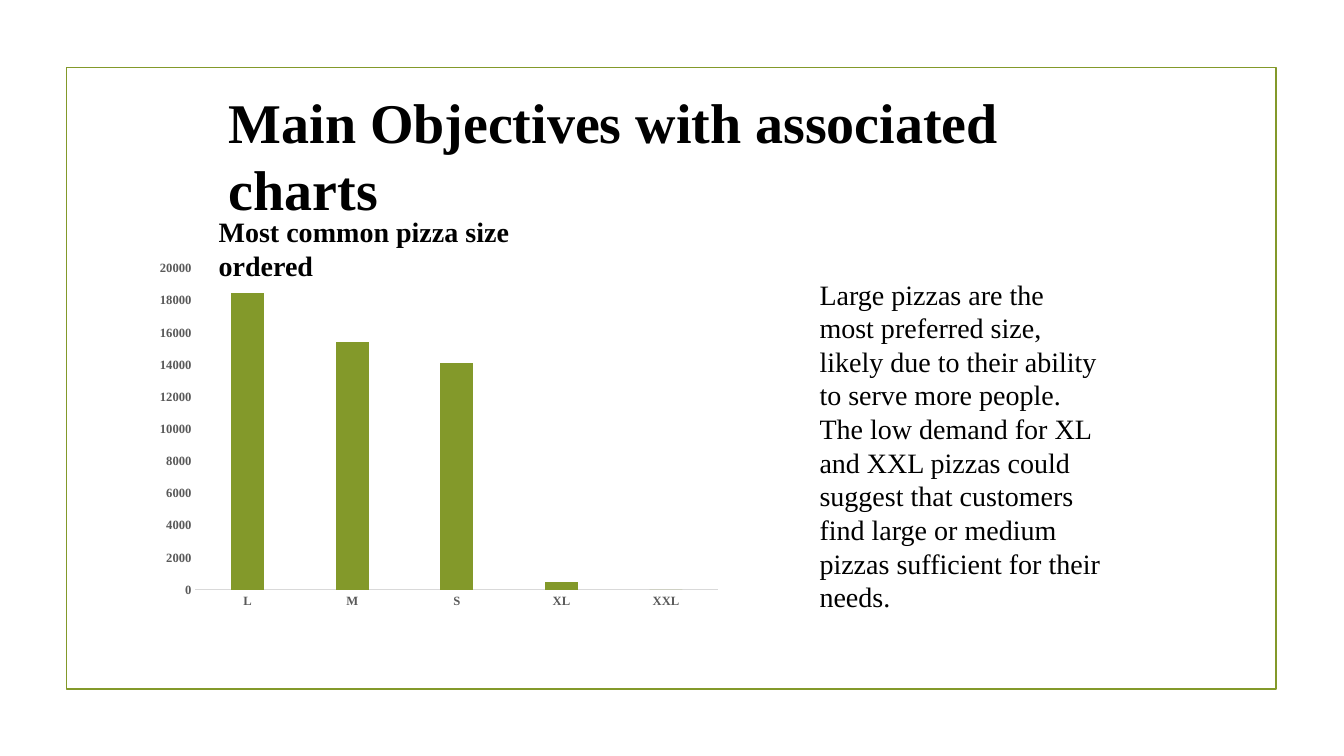
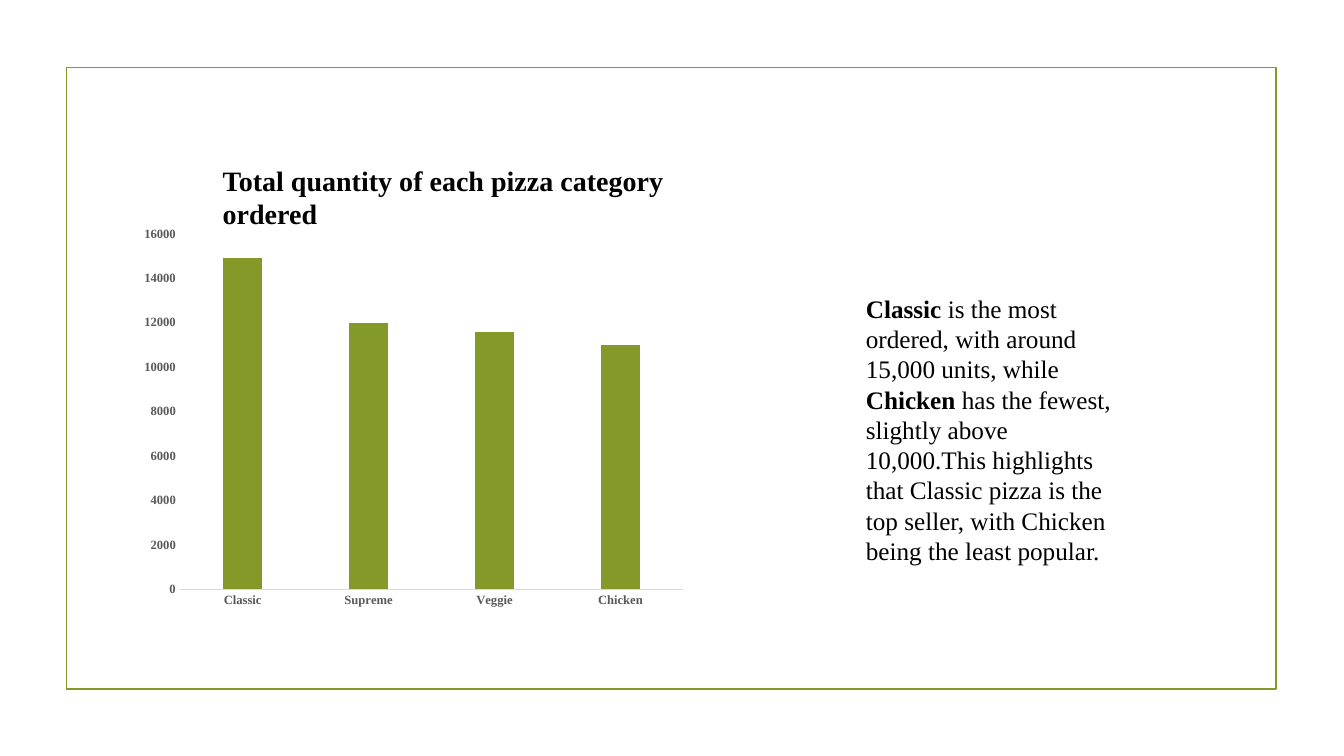
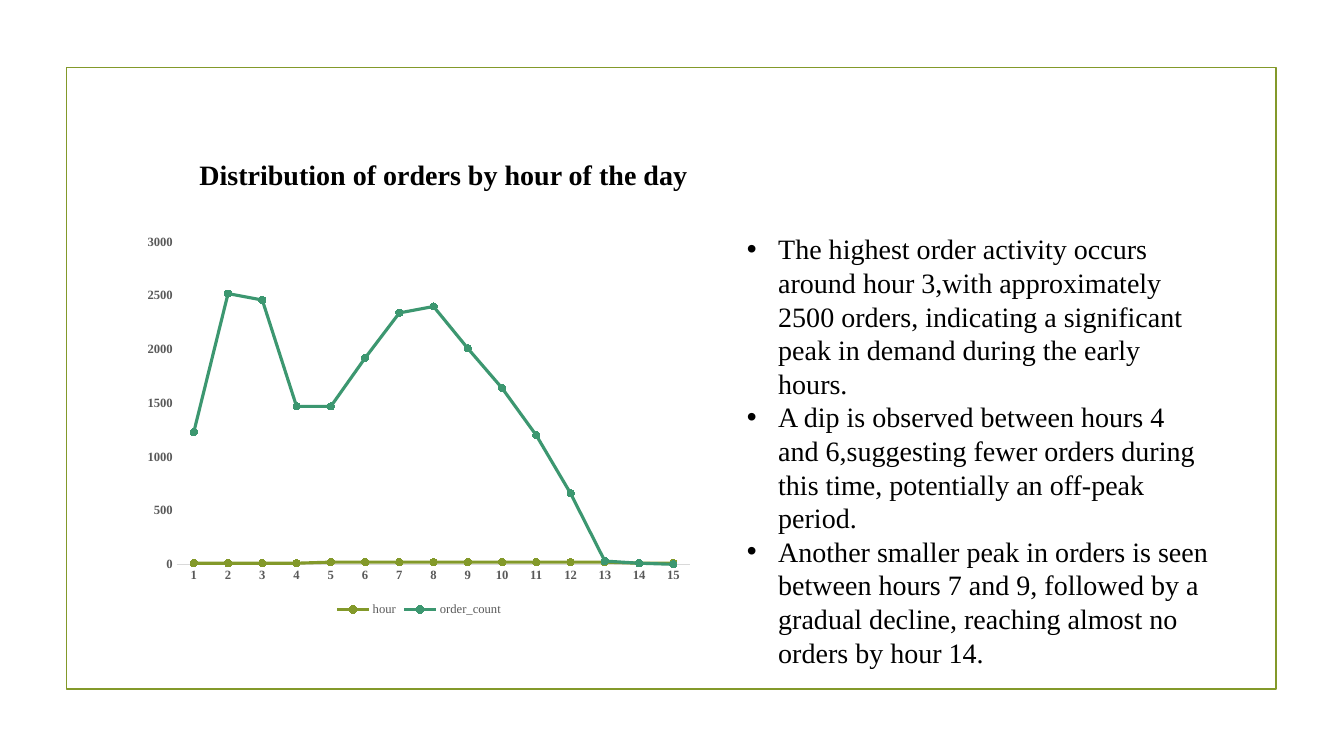
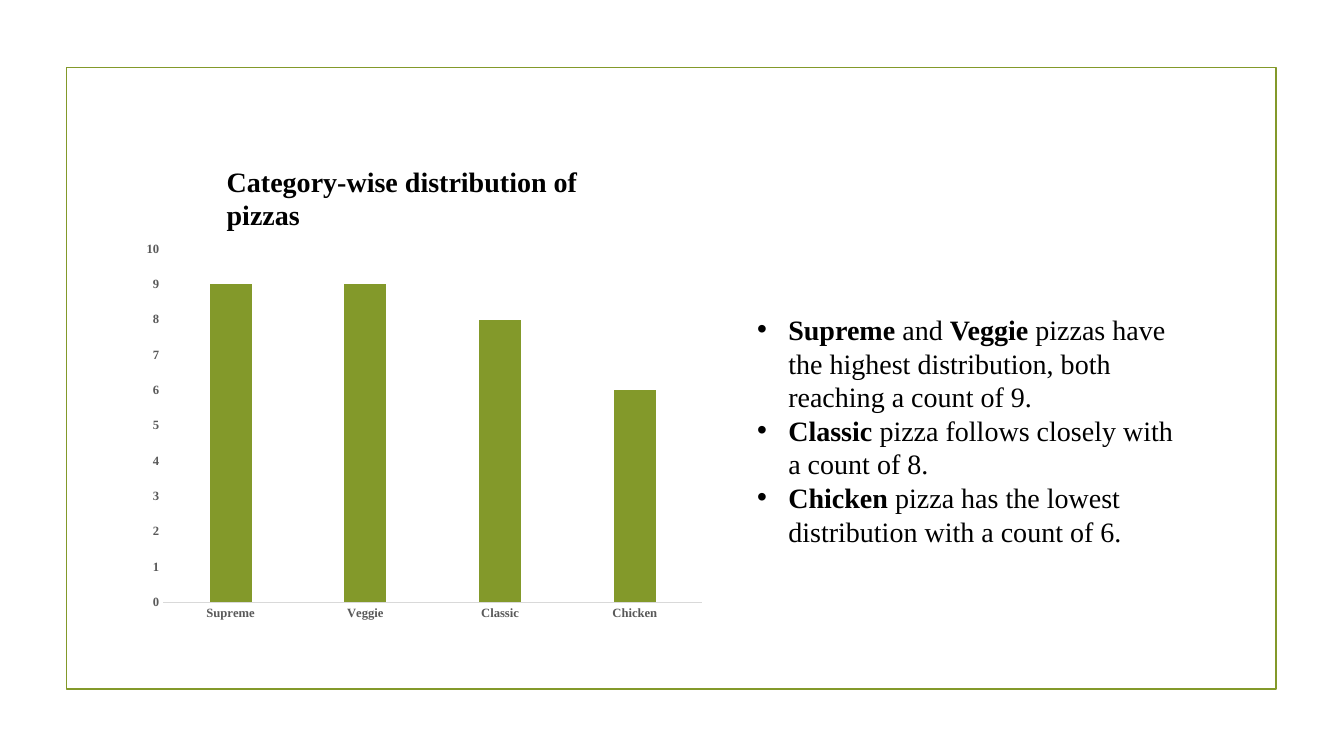
from dataclasses import dataclass

from lxml.etree import SubElement
from pptx import Presentation
from pptx.chart.data import CategoryChartData
from pptx.dml.color import RGBColor
from pptx.enum.chart import XL_CHART_TYPE, XL_LEGEND_POSITION, XL_MARKER_STYLE, XL_TICK_MARK
from pptx.enum.shapes import MSO_SHAPE
from pptx.oxml.ns import qn
from pptx.util import Inches, Pt

COLORS = {
    "background": "FFFFFF",
    "text": "000000",
    "axis_text": "595959",
    "axis_line": "D9D9D9",
    "green": "83992A",
    "teal": "3C9770",
}
SERIES_COLORS = ("green", "teal")
FONT = "Times New Roman"
SLIDE_WIDTH, SLIDE_HEIGHT = Inches(13.33), Inches(7.5)
BULLET_INDENT = Inches(0.31)


@dataclass
class Box:
    left: float
    top: float
    width: float
    height: float

    def place(self):
        column, row = SLIDE_WIDTH / 100, SLIDE_HEIGHT / 100
        return (
            int(self.left * column),
            int(self.top * row),
            int(self.width * column),
            int(self.height * row),
        )


@dataclass
class ChartSlide:
    heading: str
    heading_box: Box
    body: tuple
    body_box: Box
    chart_box: Box
    categories: tuple
    series: dict
    maximum: int
    step: int
    body_size: int = 20
    bulleted: bool = False
    line_chart: bool = False


FRAME_BOX = Box(4.95, 8.93, 90, 82.27)
TITLE = "Main Objectives with associated charts"
TITLE_BOX = Box(16.28, 10.93, 65.19, 10.27)

CHART_SLIDES = (
    ChartSlide(
        heading="Most common pizza size ordered",
        heading_box=Box(15.53, 27.73, 29.18, 5.87),
        body=(
            "Large pizzas are the most preferred size, likely due to their ability to serve "
            "more people. The low demand for XL and XXL pizzas could suggest that customers "
            "find large or medium pizzas sufficient for their needs.",
        ),
        body_box=Box(60.24, 36, 22.43, 41.73),
        chart_box=Box(11.03, 33.6, 43.28, 47.87),
        categories=("L", "M", "S", "XL", "XXL"),
        series={"Series 1": (18500, 15400, 14100, 500, 0)},
        maximum=20000,
        step=2000,
    ),
    ChartSlide(
        heading="Total quantity of each pizza category ordered",
        heading_box=Box(15.83, 20.93, 39.08, 5.87),
        body=(
            "**Classic** is the most ordered, with around 15,000 units, while **Chicken** has "
            "the fewest, slightly above 10,000.This highlights that Classic pizza is the top "
            "seller, with Chicken being the least popular.",
        ),
        body_box=Box(63.69, 38.13, 20.71, 37.73),
        chart_box=Box(9.9, 28.93, 41.78, 52.53),
        categories=("Classic", "Supreme", "Veggie", "Chicken"),
        series={"Series 1": (14900, 12000, 11600, 11000)},
        maximum=16000,
        step=2000,
        body_size=18,
    ),
    ChartSlide(
        heading="Distribution of orders by hour of the day",
        heading_box=Box(14.1, 20.13, 39.46, 9.87),
        body=(
            "The highest order activity occurs around hour 3,with approximately 2500 orders, "
            "indicating a significant peak in demand during the early hours.",
            "A dip is observed between hours 4 and 6,suggesting fewer orders during this time, "
            "potentially an off-peak period.",
            "Another smaller peak in orders is seen between hours 7 and 9, followed by a "
            "gradual decline, reaching almost no orders by hour 14.",
        ),
        body_box=Box(54.84, 30, 36.08, 50.67),
        chart_box=Box(10.13, 30, 42.09, 52.13),
        categories=tuple(str(hour) for hour in range(1, 16)),
        series={
            "hour": (10,) * 4 + (20,) * 9 + (10,) * 2,
            "order_count": (
                1230, 2520, 2460, 1470, 1470, 1920, 2340, 2400,
                2010, 1640, 1200, 660, 30, 10, 0,
            ),
        },
        maximum=3000,
        step=500,
        bulleted=True,
        line_chart=True,
    ),
    ChartSlide(
        heading="Category-wise distribution of pizzas",
        heading_box=Box(16.13, 21.07, 31.06, 9.87),
        body=(
            "**Supreme** and **Veggie** pizzas have the highest distribution, both reaching "
            "a count of 9.",
            "**Classic **pizza follows closely with a count of 8.",
            "**Chicken** pizza has the lowest distribution with a count of 6.",
        ),
        body_box=Box(55.59, 40.67, 33.23, 32.8),
        chart_box=Box(10.05, 30.93, 43.06, 52.27),
        categories=("Supreme", "Veggie", "Classic", "Chicken"),
        series={"Series 1": (9, 9, 8, 6)},
        maximum=10,
        step=1,
        bulleted=True,
    ),
)


def color(name):
    return RGBColor.from_string(COLORS[name])


def style_font(font, size, color_name, bold=False):
    font.name = FONT
    font.size = Pt(size)
    font.bold = bold
    font.color.rgb = color(color_name)


def add_frame(slide):
    frame = slide.shapes.add_shape(MSO_SHAPE.RECTANGLE, *FRAME_BOX.place())
    frame.shadow.inherit = False
    frame.fill.background()
    frame.line.color.rgb = color("green")
    frame.line.width = Pt(1.25)


def add_bullet(paragraph):
    properties = paragraph._p.get_or_add_pPr()
    properties.set("marL", str(BULLET_INDENT))
    properties.set("indent", str(-BULLET_INDENT))
    SubElement(properties, qn("a:buFont")).set("typeface", "Arial")
    SubElement(properties, qn("a:buChar")).set("char", "•")


def add_text(slide, box, paragraphs, size, bold=False, bulleted=False):
    frame = slide.shapes.add_textbox(*box.place()).text_frame
    frame.word_wrap = True
    for index, text in enumerate(paragraphs):
        paragraph = frame.add_paragraph() if index else frame.paragraphs[0]
        if bulleted:
            add_bullet(paragraph)
        style_font(paragraph.font, size, "text", bold)
        for position, part in enumerate(text.split("**")):
            if part:
                run = paragraph.add_run()
                run.text = part
                if position % 2:
                    run.font.bold = True


def style_axes(chart, maximum, step):
    for axis in (chart.category_axis, chart.value_axis):
        axis.has_major_gridlines = False
        axis.major_tick_mark = axis.minor_tick_mark = XL_TICK_MARK.NONE
        style_font(axis.tick_labels.font, 9, "axis_text", bold=True)
    category_line = chart.category_axis.format.line
    category_line.color.rgb = color("axis_line")
    category_line.width = Pt(0.75)
    value_axis = chart.value_axis
    value_axis.format.line.fill.background()
    value_axis.minimum_scale = 0
    value_axis.maximum_scale = maximum
    value_axis.major_unit = step


def style_columns(plot):
    plot.gap_width = 219
    plot.overlap = -27
    for series, color_name in zip(plot.series, SERIES_COLORS):
        series.format.fill.solid()
        series.format.fill.fore_color.rgb = color(color_name)


def style_lines(plot):
    for series, color_name in zip(plot.series, SERIES_COLORS):
        series.smooth = False
        series.format.line.color.rgb = color(color_name)
        series.format.line.width = Pt(2.25)
        marker = series.marker
        marker.style = XL_MARKER_STYLE.CIRCLE
        marker.size = 5
        marker.format.fill.solid()
        marker.format.fill.fore_color.rgb = color(color_name)
        marker.format.line.color.rgb = color(color_name)


def add_legend(chart):
    chart.has_legend = True
    chart.legend.position = XL_LEGEND_POSITION.BOTTOM
    chart.legend.include_in_layout = False
    style_font(chart.legend.font, 9, "axis_text")


def add_pizza_chart(slide, content):
    data = CategoryChartData()
    data.categories = content.categories
    for name, values in content.series.items():
        data.add_series(name, values)
    kind = XL_CHART_TYPE.LINE_MARKERS if content.line_chart else XL_CHART_TYPE.COLUMN_CLUSTERED
    chart = slide.shapes.add_chart(kind, *content.chart_box.place(), data).chart
    chart.has_title = False
    chart.has_legend = False
    style_font(chart.font, 10, "text")
    style_axes(chart, content.maximum, content.step)
    plot = chart.plots[0]
    plot.vary_by_categories = False
    if content.line_chart:
        style_lines(plot)
        add_legend(chart)
    else:
        style_columns(plot)


def add_chart_slide(presentation, content):
    slide = presentation.slides.add_slide(presentation.slide_layouts[6])
    add_frame(slide)
    add_pizza_chart(slide, content)
    add_text(slide, content.heading_box, (content.heading,), 20, bold=True)
    add_text(slide, content.body_box, content.body, content.body_size, bulleted=content.bulleted)
    return slide


def main():
    presentation = Presentation()
    presentation.slide_width = SLIDE_WIDTH
    presentation.slide_height = SLIDE_HEIGHT
    background = presentation.slide_master.background.fill
    background.solid()
    background.fore_color.rgb = color("background")
    slides = [add_chart_slide(presentation, content) for content in CHART_SLIDES]
    add_text(slides[0], TITLE_BOX, (TITLE,), 40, bold=True)
    presentation.save("out.pptx")


if __name__ == "__main__":
    main()
